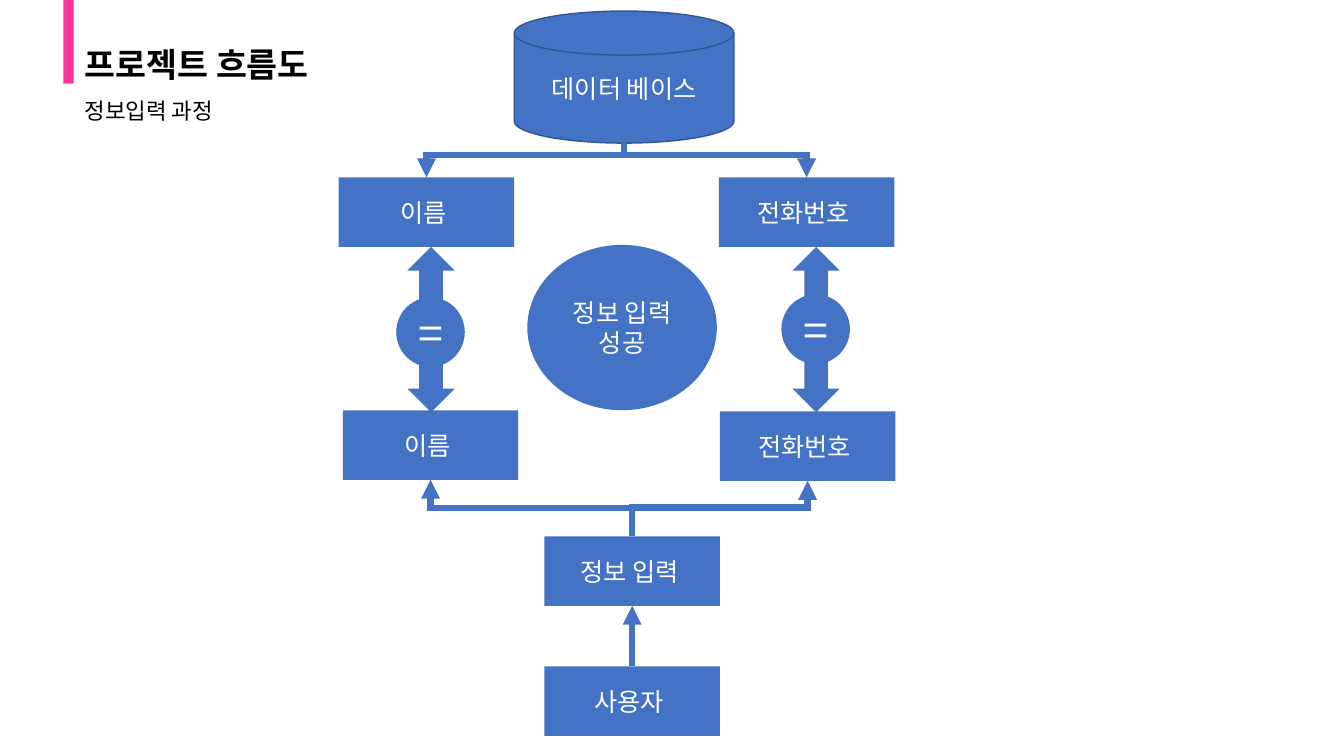
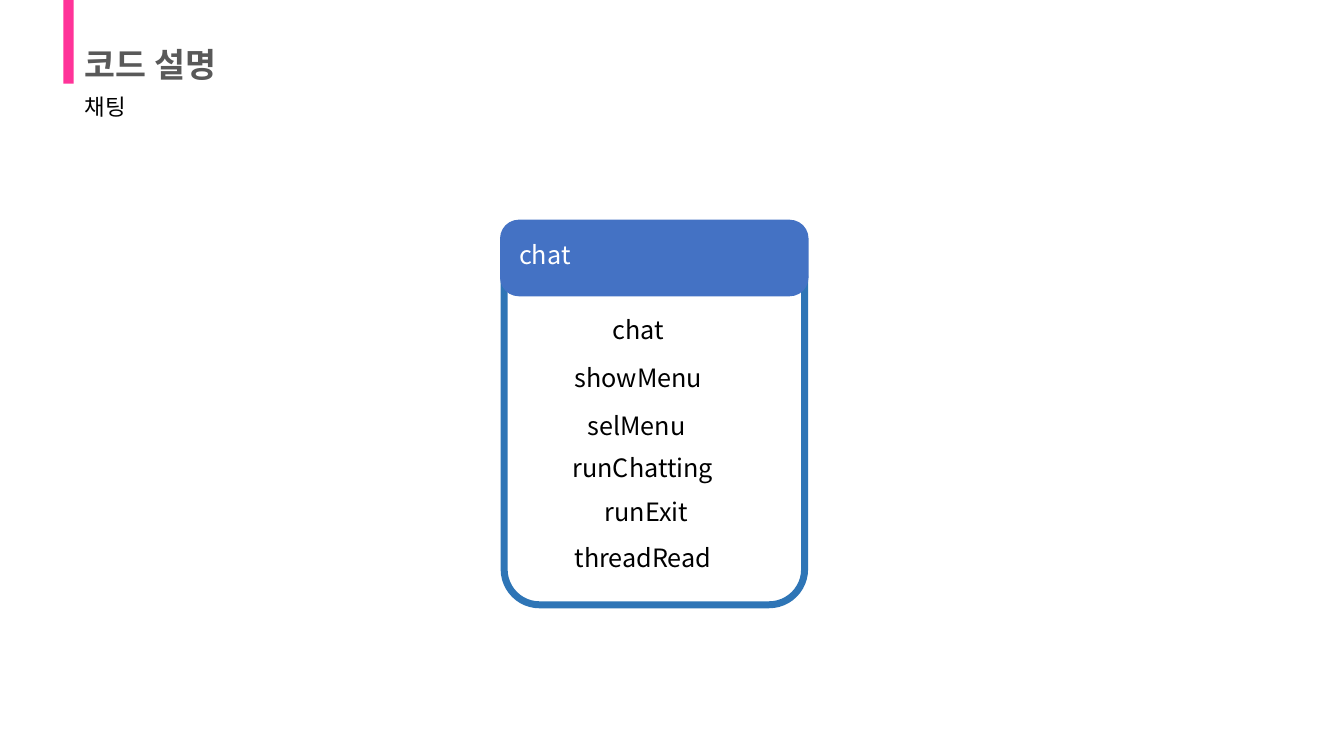
from lxml import etree
from pptx import Presentation
from pptx.dml.color import RGBColor
from pptx.enum.shapes import MSO_CONNECTOR, MSO_SHAPE
from pptx.enum.text import MSO_ANCHOR, MSO_AUTO_SIZE, PP_ALIGN
from pptx.oxml.ns import qn
from pptx.util import Inches, Pt

FONT = "Noto Sans CJK KR"
PINK, BLUE, DARK_BLUE, FRAME_BLUE = "FF3399", "4472C4", "325491", "2E75B6"
WHITE, BLACK, GRAY = "FFFFFF", "000000", "595959"


def rgb(color):
    return RGBColor.from_string(color)


def write(shape, lines, size, color, align=None, bold=False):
    """Fill a shape with one paragraph per line, in Latin and East Asian font."""
    frame = shape.text_frame
    frame.word_wrap = True
    for index, line in enumerate(lines):
        paragraph = frame.add_paragraph() if index else frame.paragraphs[0]
        paragraph.alignment = align
        run = paragraph.add_run()
        run.text = line
        run.font.size = Pt(size)
        run.font.bold = bold
        run.font.color.rgb = rgb(color)
        run.font.name = FONT
        properties = run.font._element
        properties.set("kern", "0")
        etree.SubElement(properties, qn("a:ea")).set("typeface", FONT)


presentation = Presentation()
presentation.slide_width = Inches(13.33)
presentation.slide_height = Inches(7.5)
layout = presentation.slide_layouts[2]  # title with a text body

# The layout keeps only its title and body
for placeholder in list(layout.placeholders):
    if placeholder.placeholder_format.idx > 1:
        placeholder.element.getparent().remove(placeholder.element)

# Headings: title, its colour, subtitle, subtitle top and height, anchor, alignment
headings = [
    ("프로젝트 흐름도", BLACK, "정보입력 과정", 0.88, 0.47, MSO_ANCHOR.MIDDLE, PP_ALIGN.LEFT),
    ("코드 설명", GRAY, "채팅", 0.9, 0.36, MSO_ANCHOR.TOP, PP_ALIGN.JUSTIFY),
]
slides = []
for title, title_color, subtitle, top, height, anchor, align in headings:
    slide = presentation.slides.add_slide(layout)
    slides.append(slide)
    title_shape, subtitle_shape = slide.placeholders
    write(title_shape, [title], 24, title_color, PP_ALIGN.LEFT, bold=True)
    write(subtitle_shape, [subtitle], 16, BLACK, align)
    for shape, shape_top, shape_height, shape_anchor in (
        (title_shape, 0.43, 0.47, MSO_ANCHOR.MIDDLE),
        (subtitle_shape, top, height, anchor),
    ):
        shape.left, shape.top = Inches(0.74), Inches(shape_top)
        shape.width, shape.height = Inches(9.55), Inches(shape_height)
        shape.text_frame.vertical_anchor = shape_anchor
        shape.text_frame.auto_size = MSO_AUTO_SIZE.NONE
        paragraph = shape.text_frame.paragraphs[0]
        paragraph.line_spacing = 0.9
        paragraph.space_before = Pt(10)
flow_slide, code_slide = slides

# The pink bar belongs to the layout, so both slides inherit it
bar = flow_slide.shapes.add_shape(
    MSO_SHAPE.RECTANGLE, Inches(0.63), 0, Inches(0.1), Inches(0.83))
bar.shadow.inherit = False
bar.fill.solid()
bar.fill.fore_color.rgb = rgb(PINK)
bar.line.fill.background()
bar.element.nvSpPr.cNvPr.set("id", "20")
layout.element.cSld.spTree.insert(2, bar.element)

# Slide 1: flow chart
BOX_WIDTH, BOX_HEIGHT = 1.74, 0.69
RECTANGLE, ARROW, CIRCLE = MSO_SHAPE.RECTANGLE, MSO_SHAPE.UP_DOWN_ARROW, MSO_SHAPE.OVAL
flow_shapes = [
    ("input", RECTANGLE, 5.4, 5.32, BOX_WIDTH, BOX_HEIGHT, ["정보 입력 "], 18),
    ("entered phone", RECTANGLE, 7.14, 4.08, BOX_WIDTH, BOX_HEIGHT, ["전화번호 "], 18),
    ("entered name", RECTANGLE, 3.4, 4.07, BOX_WIDTH, BOX_HEIGHT, ["이름 "], 18),
    ("user", RECTANGLE, 5.4, 6.61, BOX_WIDTH, BOX_HEIGHT, ["사용자 "], 18),
    ("database", MSO_SHAPE.FLOWCHART_MAGNETIC_DISK, 5.1, 0.11, 2.18, 1.31, ["데이터 베이스"], 18),
    ("stored phone", RECTANGLE, 7.13, 1.76, BOX_WIDTH, BOX_HEIGHT, ["전화번호 "], 18),
    ("stored name", RECTANGLE, 3.36, 1.76, BOX_WIDTH, BOX_HEIGHT, ["이름 "], 18),
    ("name arrow", ARROW, 4.04, 2.45, 0.47, 1.64, [], 18),
    ("phone arrow", ARROW, 7.86, 2.45, 0.47, 1.64, [], 18),
    ("name equals", CIRCLE, 3.93, 2.95, 0.68, 0.69, ["="], 32),
    ("phone equals", CIRCLE, 7.75, 2.92, 0.68, 0.69, ["="], 32),
    ("success", CIRCLE, 5.23, 2.43, 1.88, 1.64, ["정보 입력", "성공"], 18),
]
nodes = {}
for name, kind, left, top, width, height, lines, size in flow_shapes:
    shape = flow_slide.shapes.add_shape(
        kind, Inches(left), Inches(top), Inches(width), Inches(height))
    shape.shadow.inherit = False
    shape.fill.solid()
    shape.fill.fore_color.rgb = rgb(BLUE)
    shape.line.fill.background()
    shape.text_frame.vertical_anchor = MSO_ANCHOR.MIDDLE
    write(shape, lines, size, WHITE, PP_ALIGN.CENTER)
    nodes[name] = shape
nodes["database"].line.color.rgb = rgb(DARK_BLUE)
nodes["database"].line.width = Pt(1)

user_arrow = flow_slide.shapes.add_connector(MSO_CONNECTOR.STRAIGHT, 0, 0, 0, 0)
user_arrow.begin_connect(nodes["user"], 0)
user_arrow.end_connect(nodes["input"], 2)
connectors = [user_arrow]

# Elbows leave vertically: a horizontal elbow is laid out, then turned a quarter
for start, end, bend in (
    ("input", "entered name", 50000),
    ("input", "entered phone", 51900),
    ("database", "stored name", 34400),
    ("database", "stored phone", 34400),
):
    source, target = nodes[start], nodes[end]
    upward = target.top < source.top
    start_x = source.left + source.width // 2
    end_x = target.left + target.width // 2
    start_y = source.top if upward else source.top + source.height
    end_y = target.top + target.height if upward else target.top
    length, spread = abs(end_y - start_y), abs(end_x - start_x)
    left = (start_x + end_x - length) // 2
    top = (start_y + end_y - spread) // 2
    begin_y, finish_y = top, top + spread
    if upward == (end_x < start_x):
        begin_y, finish_y = finish_y, begin_y
    elbow = flow_slide.shapes.add_connector(
        MSO_CONNECTOR.ELBOW, left, begin_y, left + length, finish_y)
    properties = elbow.element.spPr
    properties.find(qn("a:xfrm")).set("rot", "16200000" if upward else "5400000")
    guides = properties.find(qn("a:prstGeom")).find(qn("a:avLst"))
    etree.SubElement(guides, qn("a:gd"), name="adj1", fmla=f"val {bend}")
    connectors.append(elbow)

for connector in connectors:
    connector.line.color.rgb = rgb(BLUE)
    connector.line.width = Pt(4.5)
    properties = connector.element.spPr
    line = properties.find(qn("a:ln"))
    etree.SubElement(line, qn("a:miter"), lim="800000")
    etree.SubElement(line, qn("a:tailEnd"), type="triangle")
    etree.SubElement(properties, qn("a:effectLst"))

# Slide 2: class card
for left, top, width, height, rounding, fill, outline in (
    (5, 2.39, 2.98, 3.61, 0.118, WHITE, FRAME_BLUE),
    (4.96, 2.18, 3.06, 0.76, 0.246, BLUE, None),
):
    card = code_slide.shapes.add_shape(
        MSO_SHAPE.ROUNDED_RECTANGLE, Inches(left), Inches(top), Inches(width), Inches(height))
    card.shadow.inherit = False
    card.adjustments[0] = rounding
    card.fill.solid()
    card.fill.fore_color.rgb = rgb(fill)
    if outline:
        card.line.color.rgb = rgb(outline)
        card.line.width = Pt(5)
    else:
        card.line.fill.background()

for text, left, top, width, color in (
    ("chat", 5.05, 2.33, 2.91, WHITE),
    ("chat", 5.98, 3.07, 0.76, BLACK),
    ("showMenu", 5.6, 3.55, 1.51, BLACK),
    ("selMenu", 5.73, 4.02, 1.51, BLACK),
    ("runChatting", 5.58, 4.44, 1.68, BLACK),
    ("runExit", 5.9, 4.87, 1.68, BLACK),
    ("threadRead", 5.6, 5.33, 1.68, BLACK),
):
    label = code_slide.shapes.add_textbox(Inches(left), Inches(top), Inches(width), Inches(0.4))
    write(label, [text], 18, color)

presentation.save("out.pptx")
